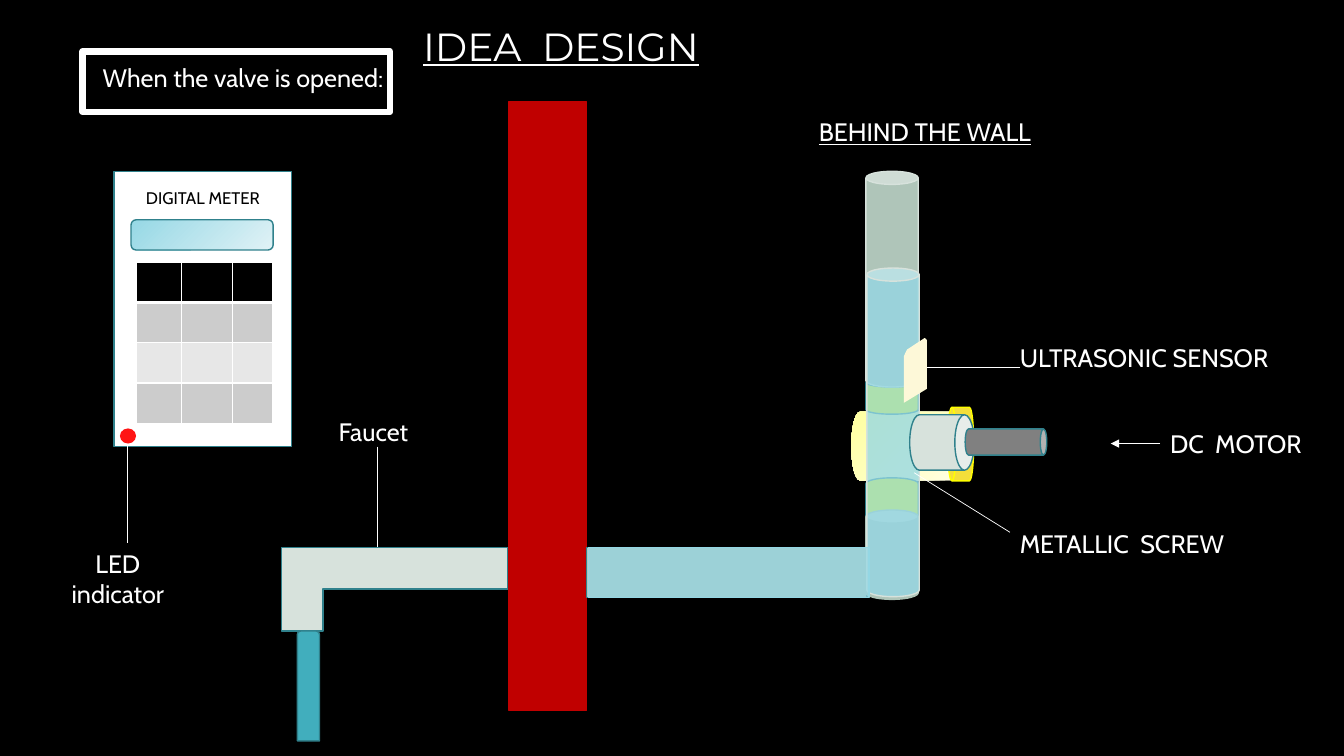
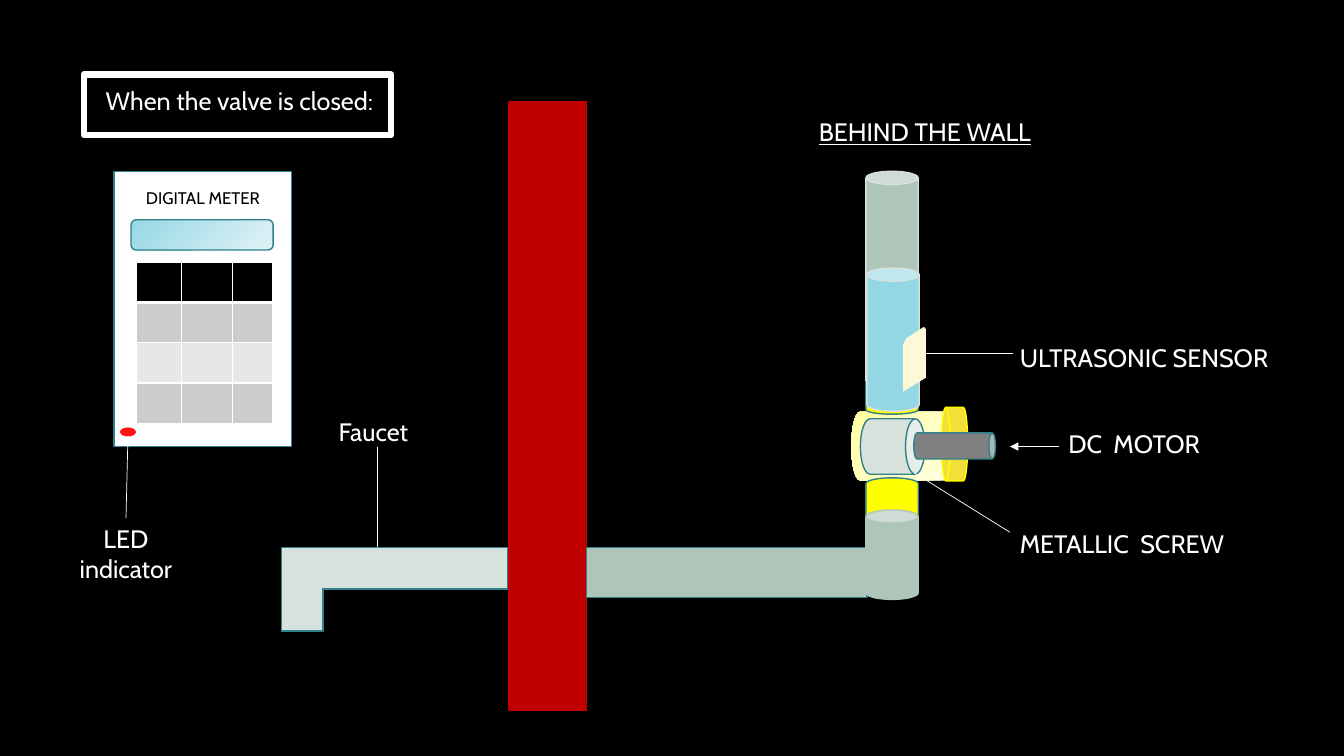
from lxml import etree
from pptx import Presentation
from pptx.dml.color import RGBColor
from pptx.enum.shapes import MSO_CONNECTOR, MSO_SHAPE
from pptx.enum.text import PP_ALIGN
from pptx.oxml.ns import qn
from pptx.util import Pt

CAN = MSO_SHAPE.CAN
RECTANGLE = MSO_SHAPE.RECTANGLE
PROCESS = MSO_SHAPE.FLOWCHART_PROCESS
CORNER = MSO_SHAPE.CORNER
DRUM = MSO_SHAPE.FLOWCHART_DIRECT_ACCESS_STORAGE
ROUNDED = MSO_SHAPE.ROUNDED_RECTANGLE
ROUNDED_TOP = MSO_SHAPE.ROUND_2_SAME_RECTANGLE
OVAL = MSO_SHAPE.OVAL
STRAIGHT = MSO_CONNECTOR.STRAIGHT
LEFT, CENTER = PP_ALIGN.LEFT, PP_ALIGN.CENTER

COLORS = {
    "black": "000000", "white": "FFFFFF", "teal": "30818C",
    "faucet": "D7E2DC", "pipe": "AFC5B9", "wall": "C00000",
    "nut": "FFFF00", "knob": "F4DE3A", "shaft": "808080",
    "water": "94D7E4", "stream": "41AEBD", "sensor": "FDF8D8", "led": "FF1414",
    "screw dark": "FFFFA0", "screw light": "FFFFE3",
    "screen dark": "96D8E5", "screen light": "E0F2F6",
    "row dark": "CCCCCC", "row light": "E7E7E7",
}
RGB = {name: RGBColor.from_string(code) for name, code in COLORS.items()}
BODY_FONT, TITLE_FONT = "Cabin", "Montserrat"

PIPE_LEFT, PIPE_WIDTH = 618.5, 37.4
LABEL_LEFT = 721.4
SENSOR_OUTLINE = [(0, 13.5), (2.2, 9), (14.8, 0.7), (16.4, 2.2), (16.4, 37), (0, 47)]
TABLE_COLUMNS = [32.4, 36.7, 28.1]
TABLE_ROWS = ["black", "row dark", "row light", "row dark"]
ROW_HEIGHT = 28.8

STATES = [
    {
        "caption": "When the valve is opened:", "caption box": (66.2, 41, 282.2, 28.8),
        "frame": (59, 36.7, 219.6, 43.2), "flowing": True,
        "water height": 234.7, "water alpha": 77, "knob left": 676.8,
        "motor": (653, 293), "shaft": (709.2, 286.6), "sensor": (645.7, 240.7),
        "led": (85.7, 306, 11.5, 10.8), "led label": (41, 388.1, 86.4, 51),
        "led line": (90.7, 316.8, 90.7, 388.1),
        "sensor line": (728.6, 262.1, 660.2, 262.1),
        "motor label left": 828.7, "motor arrow": (828.7, 316.8, 793.4, 316.8),
    },
    {
        "caption": "When the valve is closed:", "caption box": (68.4, 57.6, 210.2, 28.8),
        "frame": (59.8, 53.3, 219.6, 43.2), "flowing": False,
        "water height": 102.2, "water alpha": 100, "knob left": 672.5,
        "motor": (617.8, 295.9), "shaft": (672.5, 289.4), "sensor": (645, 232.8),
        "led": (85.7, 305.3, 11.5, 6.5), "led label": (41, 370.1, 97.9, 51),
        "led line": (91.4, 311.8, 90, 370.1),
        "sensor line": (723.6, 252.7, 655.2, 252.7),
        "motor label left": 756, "motor arrow": (756.7, 319, 721.4, 319),
    },
]


def style(shape, fill, line, weight=1, alpha=100):
    """Fill with a colour name, a pair of names (gradient) or None."""
    shape.shadow.inherit = False
    if fill is None:
        shape.fill.background()
    elif isinstance(fill, tuple):
        shape.fill.gradient()
        shape.fill.gradient_angle = 315
        for stop, name in zip(shape.fill.gradient_stops, fill):
            stop.color.rgb = RGB[name]
    else:
        shape.fill.solid()
        shape.fill.fore_color.rgb = RGB[fill]
        if alpha < 100:
            color = shape._element.spPr.find(qn("a:solidFill"))[0]
            etree.SubElement(color, qn("a:alpha"), val=str(alpha * 1000))
    if line is None:
        shape.line.fill.background()
    else:
        shape.line.color.rgb = RGB[line]
        shape.line.width = Pt(weight)


def add_label(page, text, box, size=18, color="white", align=LEFT,
              underline=None, font=BODY_FONT):
    frame = page.shapes.add_textbox(*map(Pt, box)).text_frame
    frame.word_wrap = True
    para = frame.paragraphs[0]
    para.text = text
    para.alignment = align
    para.font.name = font
    para.font.size = Pt(size)
    para.font.color.rgb = RGB[color]
    para.font.underline = underline


deck = Presentation()
deck.slide_width, deck.slide_height = Pt(960), Pt(540)

for state in STATES:
    page = deck.slides.add_slide(deck.slide_layouts[6])
    page.background.fill.solid()
    page.background.fill.fore_color.rgb = RGB["black"]

    # Pipework, valve and meter: kind, box, rotation, fill, line
    parts = [
        (CORNER, (252, 339.8, 59.8, 162), 90, "faucet", "teal"),
        (RECTANGLE, (363.6, 72.7, 55.4, 434.9), 0, "wall", "wall"),
        (PROCESS, (419, 391, 200.2, 36), 0, "pipe", "teal"),
        (CAN, (622.8, 279.4, 49, 78.5), 90, ("screw dark", "screw light"), None),
        (DRUM, (state["knob left"], 290.9, 18.7, 52.6), 180, "knob", "nut"),
        (CAN, (PIPE_LEFT, 270, PIPE_WIDTH, 25.9), 0, "nut", "teal"),
        (CAN, (PIPE_LEFT, 122.4, PIPE_WIDTH, 154.1), 0, "pipe", "faucet"),
        (CAN, (PIPE_LEFT, 341.3, PIPE_WIDTH, 32.4), 180, "nut", "teal"),
        (CAN, (PIPE_LEFT, 364.3, PIPE_WIDTH, 63.8), 0, "pipe", "pipe"),
        (RECTANGLE, (81.4, 122.4, 126.7, 196.6), 0, "white", "teal"),
        (ROUNDED, (93.6, 157, 101.5, 21.6), 0, ("screen dark", "screen light"), "teal"),
        (OVAL, state["led"], 0, "led", None),
    ]
    for kind, box, rotation, fill, line in parts:
        part = page.shapes.add_shape(kind, *map(Pt, box))
        part.rotation = rotation
        style(part, fill, line)
        if fill == ("screw dark", "screw light"):
            linear = part._element.spPr.find(qn("a:gradFill")).find(qn("a:lin"))
            radial = etree.Element(qn("a:path"), path="circle")
            etree.SubElement(radial, qn("a:fillToRect"), r="100000", b="100000")
            linear.getparent().replace(linear, radial)

    water = page.shapes.add_shape(
        CAN, Pt(619.2), Pt(191.5), Pt(PIPE_WIDTH), Pt(state["water height"]))
    style(water, "water", "faucet", alpha=state["water alpha"])

    motor = page.shapes.add_shape(CAN, *map(Pt, state["motor"]), Pt(39.6), Pt(46.1))
    motor.adjustments[0] = 0.35
    shaft = page.shapes.add_shape(CAN, *map(Pt, state["shaft"]), Pt(18.7), Pt(58.3))
    for part, fill in ((motor, "faucet"), (shaft, "shaft")):
        part.rotation = 90
        style(part, fill, "teal")

    if state["flowing"]:
        pipe_water = page.shapes.add_shape(PROCESS, Pt(420.5), Pt(391), Pt(200.2), Pt(36))
        style(pipe_water, "water", "water", alpha=70)
        stream = page.shapes.add_shape(
            ROUNDED_TOP, Pt(212.4), Pt(450.7), Pt(15.8), Pt(78.5))
        style(stream, "stream", "teal")

    # Pointers from labels to parts
    pointers = [
        (269.3, 319, 269.3, 391), (LABEL_LEFT, 380.2, 653, 337.7),
        state["sensor line"], state["led line"], state["motor arrow"],
    ]
    for ends in pointers:
        pointer = page.shapes.add_connector(STRAIGHT, *map(Pt, ends))
        pointer.line.color.rgb = RGB["white"]
        pointer.line.width = Pt(0.5)
        if ends == state["motor arrow"]:
            etree.SubElement(pointer.line._get_or_add_ln(), qn("a:tailEnd"), type="triangle")
        etree.SubElement(pointer._element.spPr, qn("a:effectLst"))

    left, top = state["sensor"]
    points = [(Pt(left + x), Pt(top + y)) for x, y in SENSOR_OUTLINE]
    outline = page.shapes.build_freeform(*points[0])
    outline.add_line_segments(points[1:])
    style(outline.convert_to_shape(), "sensor", None)

    # Meter keypad
    keypad = page.shapes.add_table(
        len(TABLE_ROWS), len(TABLE_COLUMNS), Pt(97.2), Pt(187.2),
        Pt(sum(TABLE_COLUMNS)), Pt(ROW_HEIGHT * len(TABLE_ROWS))).table
    for column, width in zip(keypad.columns, TABLE_COLUMNS):
        column.width = Pt(width)
    for row_index, fill in enumerate(TABLE_ROWS):
        keypad.rows[row_index].height = Pt(ROW_HEIGHT)
        for cell in keypad.rows[row_index].cells:
            cell.margin_top = cell.margin_bottom = 0
            for side in ("lnL", "lnR", "lnT", "lnB"):
                under_header = (row_index, side) in ((0, "lnB"), (1, "lnT"))
                border = etree.SubElement(
                    cell._tc.get_or_add_tcPr(), qn("a:" + side),
                    w=str(Pt(3 if under_header else 1)))
                solid = etree.SubElement(border, qn("a:solidFill"))
                etree.SubElement(solid, qn("a:srgbClr"), val=COLORS["white"])
            cell.fill.solid()
            cell.fill.fore_color.rgb = RGB[fill]

    # Labels
    add_label(page, "BEHIND THE WALL", (529.9, 79.9, 261.4, 28.8),
              align=CENTER, underline=True)
    add_label(page, "Faucet", (234.7, 293.8, 68.4, 28.8))
    add_label(page, "ULTRASONIC SENSOR", (LABEL_LEFT, 241.2, 214.6, 28.8))
    add_label(page, "DC  MOTOR", (state["motor label left"], 302.4, 112.3, 28.8))
    add_label(page, "METALLIC  SCREW", (LABEL_LEFT, 373.7, 167, 28.8))
    add_label(page, "DIGITAL METER", (97.2, 130.3, 115.2, 21.6), size=12, color="black")
    add_label(page, "LED indicator", state["led label"], align=CENTER)
    add_label(page, state["caption"], state["caption box"])
    caption_frame = page.shapes.add_shape(PROCESS, *map(Pt, state["frame"]))
    style(caption_frame, None, "white", weight=4.5)

add_label(deck.slides[0], "IDEA  DESIGN", (295.2, 12.2, 247, 41),
          size=28, underline=True, font=TITLE_FONT)

deck.save("out.pptx")
